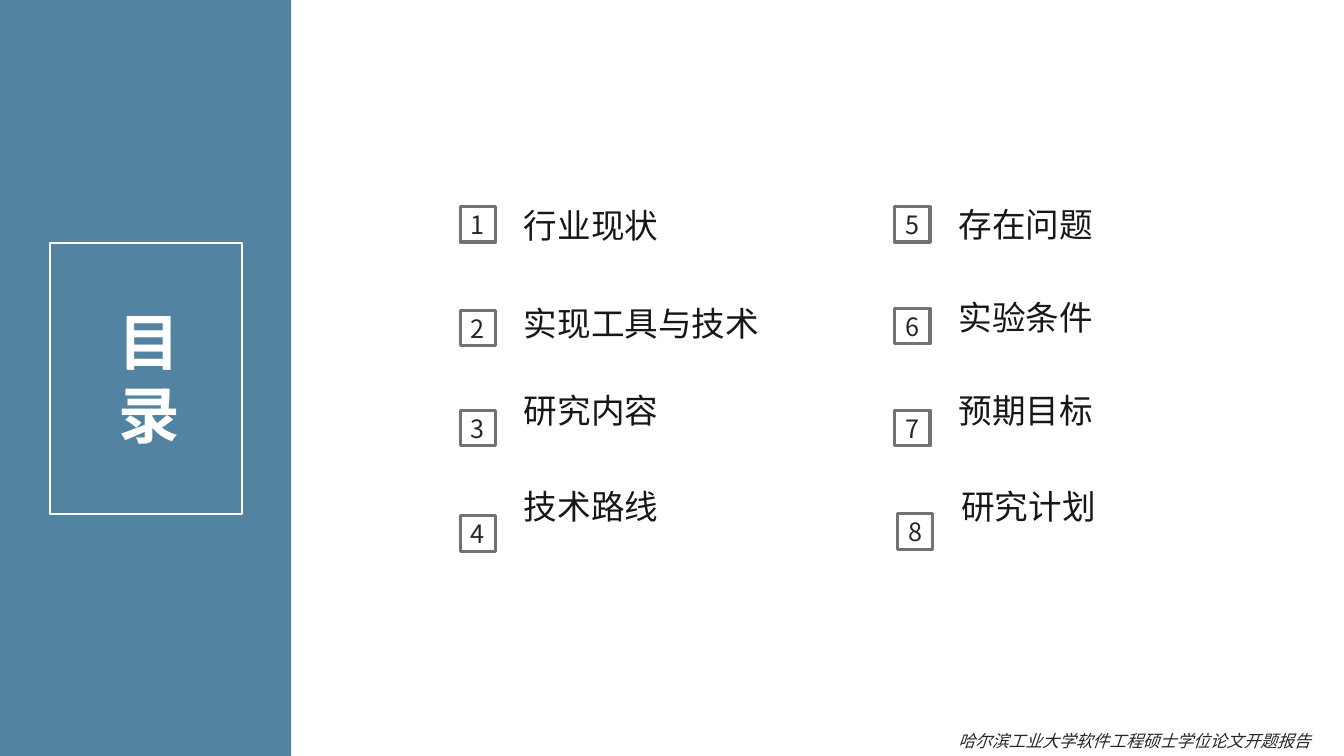
import pptx
import pptx.util
import pptx.dml.color
import pptx.enum.shapes
import pptx.enum.text
import pptx.oxml.ns
import lxml.etree

Cm = pptx.util.Cm
Pt = pptx.util.Pt
RGBColor = pptx.dml.color.RGBColor
PP_ALIGN = pptx.enum.text.PP_ALIGN
MSO_ANCHOR = pptx.enum.text.MSO_ANCHOR

BLUE = RGBColor(0x52, 0x84, 0xA1)
WHITE = RGBColor(0xFF, 0xFF, 0xFF)
GREY = RGBColor(0x76, 0x71, 0x71)
DARK = RGBColor(0x26, 0x26, 0x26)
INK = RGBColor(0x18, 0x17, 0x17)
CJK = "Noto Sans CJK SC"
LINE_HEIGHT = Pt(34.75)

LEFT_TOPICS = [
    ("行业现状", 5.03, 5.21, 0),
    ("实现工具与技术", 7.72, 7.82, 0),
    ("研究内容", 10.13, 10.34, 0),
    ("技术路线", 12.75, 13.0, 0),
]
RIGHT_TOPICS = [
    ("存在问题", 5.0, 5.21, 0),
    ("实验条件", 7.57, 7.77, 0),
    ("预期目标", 10.13, 10.34, 0),
    ("研究计划", 12.75, 12.95, 0.07),
]


def place(sp, left, top, width, height):
    sp.left, sp.top, sp.width, sp.height = Cm(left), Cm(top), Cm(width), Cm(height)


def prepare_text(sp):
    tf = sp.text_frame
    tf.word_wrap = True
    tf.auto_size = pptx.enum.text.MSO_AUTO_SIZE.NONE
    tf.vertical_anchor = MSO_ANCHOR.TOP
    return tf


def add_run(p, text, size, color, font=CJK, bold=False, italic=False):
    r = p.add_run()
    r.text = text
    r.font.size = Pt(size)
    r.font.name = font
    r.font.bold = bold
    r.font.italic = italic
    r.font.color.rgb = color
    ea = lxml.etree.SubElement(r.font._element, pptx.oxml.ns.qn("a:ea"))
    ea.set("typeface", font)


def add_box(s, left, top, width, height, fill=None, line=None, weight=0):
    rect = pptx.enum.shapes.MSO_SHAPE.RECTANGLE
    sp = s.shapes.add_shape(rect, Cm(left), Cm(top), Cm(width), Cm(height))
    sp.shadow.inherit = False
    if fill is None:
        sp.fill.background()
    else:
        sp.fill.solid()
        sp.fill.fore_color.rgb = fill
    if line is None:
        sp.line.fill.background()
    else:
        sp.line.color.rgb = line
        sp.line.width = Pt(weight)
    return sp


def add_number(s, number, left, top):
    sp = add_box(s, left, top, 0.89, 0.89, WHITE, GREY, 2.25)
    tf = prepare_text(sp)
    tf.margin_left = tf.margin_right = tf.margin_top = tf.margin_bottom = 0
    tf.vertical_anchor = MSO_ANCHOR.MIDDLE
    p = tf.paragraphs[0]
    p.alignment = PP_ALIGN.CENTER
    add_run(p, str(number), 18, DARK)


def fill_topics(s, body, topics, first_number, left):
    place(body, left, topics[0][1], 9.4, 9.2)
    tf = prepare_text(body)
    previous_top = None
    for i, (topic, top, box_top, shift) in enumerate(topics):
        p = tf.paragraphs[0] if i == 0 else tf.add_paragraph()
        pPr = p._p.get_or_add_pPr()
        pPr.set("marL", str(Cm(shift)))
        pPr.set("indent", "0")
        lxml.etree.SubElement(pPr, pptx.oxml.ns.qn("a:buNone"))
        p.space_before = Pt(0) if i == 0 else Cm(top - previous_top) - LINE_HEIGHT
        add_run(p, topic, 24, INK)
        add_number(s, first_number + i, left - 1.35 + shift, box_top)
        previous_top = top


def fill_title(title):
    place(title, 2.72, 7.52, 1.91, 4.01)
    p = prepare_text(title).paragraphs[0]
    p.alignment = PP_ALIGN.LEFT
    add_run(p, "目录", 44, WHITE, bold=True)


def add_footer(s):
    sp = s.shapes.add_textbox(Cm(23.9), Cm(18.29), Cm(9.96), Cm(0.76))
    p = prepare_text(sp).paragraphs[0]
    add_run(p, "哈尔滨工业大学软件工程硕士学位论文开题报告", 12, DARK, "Calibri", italic=True)


def main():
    prs = pptx.Presentation()
    prs.slide_width, prs.slide_height = Cm(33.87), Cm(19.05)
    s = prs.slides.add_slide(prs.slide_layouts[3])
    title, left_body, right_body = list(s.placeholders)[:3]
    panel = add_box(s, 0, 0, 7.34, 19.05, BLUE)
    frame = add_box(s, 1.27, 6.12, 4.83, 6.83, None, WHITE, 1.5)
    for position, sp in enumerate((panel, frame)):
        s.shapes._spTree.insert(2 + position, sp._element)
    fill_title(title)
    fill_topics(s, left_body, LEFT_TOPICS, 1, 12.95)
    fill_topics(s, right_body, RIGHT_TOPICS, 5, 23.9)
    add_footer(s)
    prs.save("out.pptx")


if __name__ == "__main__":
    main()
